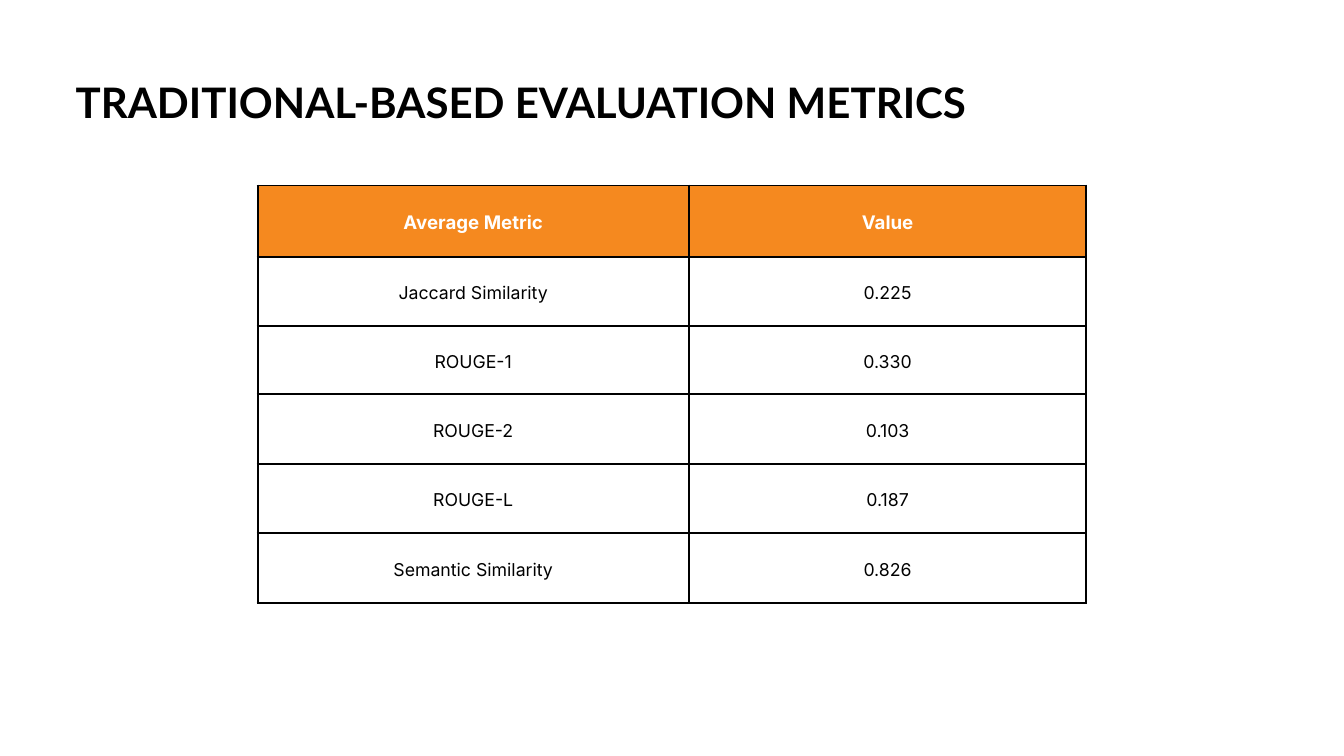
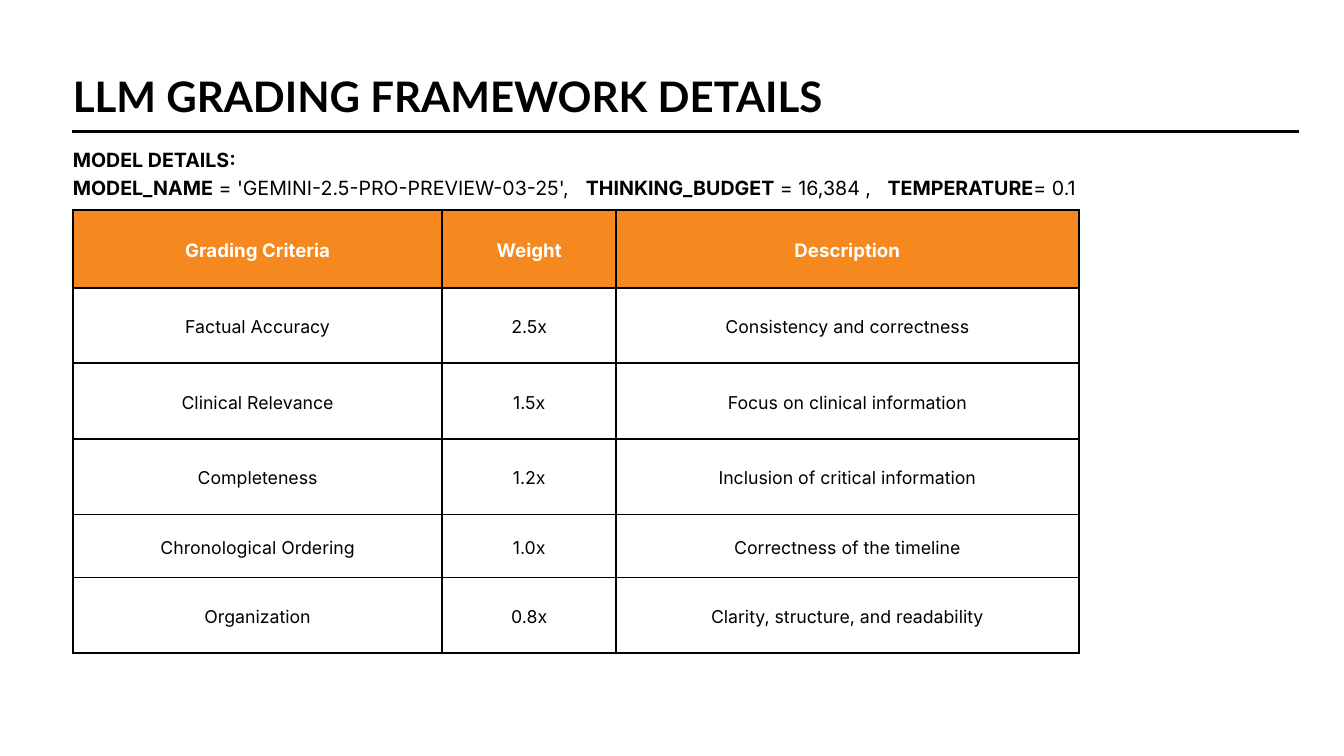
"""Build two slides on metrics and grading of model output."""
from lxml.etree import SubElement
from pptx import Presentation
from pptx.dml.color import RGBColor
from pptx.enum.shapes import MSO_CONNECTOR
from pptx.enum.text import MSO_ANCHOR, MSO_AUTO_SIZE, PP_ALIGN
from pptx.oxml import parse_xml
from pptx.oxml.ns import nsdecls, qn
from pptx.util import Emu, Pt

BLACK = RGBColor(0, 0, 0)
WHITE = RGBColor(255, 255, 255)
ORANGE = RGBColor(0xF5, 0x89, 0x1F)
HEAD, BODY = "Lato", "Inter"
PAD = 20


def px(n):
    return Emu(n * 9525)


class Deck:
    def __init__(self):
        self.prs = Presentation()
        self.prs.slide_width, self.prs.slide_height = px(1920), px(1080)

    def page(self):
        self.slide = self.prs.slides.add_slide(self.prs.slide_layouts[6])

    def style(self, para, size, lead=None, face=BODY, color=BLACK, bold=None):
        para.line_spacing = Pt(lead or round(size * 1.4, 1))
        font = para.font
        font.name, font.size, font.bold = face, Pt(size), bold
        font.color.rgb = color

    def box(self, left, top, width, height):
        shape = self.slide.shapes.add_textbox(*map(px, (left, top, width, height)))
        frame = shape.text_frame
        frame.word_wrap = True
        frame.auto_size = MSO_AUTO_SIZE.SHAPE_TO_FIT_TEXT
        frame.margin_left = frame.margin_right = 0
        frame.margin_top = frame.margin_bottom = 0
        return frame

    def title(self, text, left, top, width, height, lead):
        para = self.box(left, top, width, height).paragraphs[0]
        para.text = text
        self.style(para, 45, lead, HEAD, bold=True)

    def details(self, label, pairs, stops, *area):
        frame = self.box(*area)
        para = frame.paragraphs[0]
        para.text = label
        self.style(para, 21, bold=True)
        para = frame.add_paragraph()
        tabs = SubElement(para._p.get_or_add_pPr(), qn("a:tabLst"))
        for stop in stops:
            SubElement(tabs, qn("a:tab"), pos=str(px(stop)), algn="l")
        self.style(para, 21)
        for name, value in pairs:
            for text, bold in ((name, True), (value, False)):
                run = para.add_run()
                run.text, run.font.bold = text, bold

    def rule(self, start, end, y):
        line = self.slide.shapes.add_connector(
            MSO_CONNECTOR.STRAIGHT, px(start), px(y), px(end), px(y))
        line.line.color.rgb = BLACK
        line.line.width = Pt(3)
        SubElement(line._element.spPr, qn("a:effectLst"))

    def border(self, cell):
        props = cell._tc.get_or_add_tcPr()
        for side in "LRTB":
            props.append(parse_xml(
                f'<a:ln{side} {nsdecls("a")} w="{Pt(2.25)}"><a:solidFill>'
                f'<a:srgbClr val="{BLACK}"/></a:solidFill></a:ln{side}>'))

    def cell(self, cell, text, head):
        cell.margin_left = cell.margin_right = px(PAD)
        cell.margin_top = cell.margin_bottom = px(PAD)
        cell.vertical_anchor = MSO_ANCHOR.MIDDLE
        self.border(cell)
        para = cell.text_frame.paragraphs[0]
        para.text = text
        para.alignment = PP_ALIGN.CENTER
        if head:
            cell.fill.solid()
            cell.fill.fore_color.rgb = ORANGE
            self.style(para, 20, color=WHITE, bold=True)
        else:
            cell.fill.background()
            self.style(para, 19, bold=False)

    def table(self, left, top, widths, heights, data):
        table = self.slide.shapes.add_table(
            len(heights), len(widths), px(left), px(top),
            px(sum(widths)), px(sum(heights))).table
        table.horz_banding = False
        for col, width in zip(table.columns, widths):
            col.width = px(width)
        for r, (row, height) in enumerate(zip(data, heights)):
            table.rows[r].height = px(height)
            for c, text in enumerate(row):
                self.cell(table.cell(r, c), text, r == 0)


SCORES = [
    ("Average Metric", "Value"),
    ("Jaccard Similarity", "0.225"),
    ("ROUGE-1", "0.330"),
    ("ROUGE-2", "0.103"),
    ("ROUGE-L", "0.187"),
    ("Semantic Similarity", "0.826"),
]
GRADES = [
    ("Grading Criteria", "Weight", "Description"),
    ("Factual Accuracy", "2.5x", "Consistency and correctness"),
    ("Clinical Relevance", "1.5x", "Focus on clinical information"),
    ("Completeness", "1.2x", "Inclusion of critical information"),
    ("Chronological Ordering", "1.0x", "Correctness of the timeline"),
    ("Organization", "0.8x", "Clarity, structure, and readability"),
]
MODEL = [
    ("MODEL_NAME", " = 'GEMINI-2.5-PRO-PREVIEW-03-25',\t"),
    ("THINKING_BUDGET", " = 16,384 ,\t"),
    ("TEMPERATURE", "= 0.1"),
]


def main():
    deck = Deck()

    deck.page()
    deck.table(368, 265, (616, 568), (102, 99, 97, 100, 99, 99), SCORES)
    deck.title("TRADITIONAL-BASED EVALUATION METRICS", 108, 98, 1384, 82, 63)

    deck.page()
    deck.title("LLM GRADING FRAMEWORK DETAILS", 104, 100, 1343, 72, 54.6)
    deck.details("MODEL DETAILS:", MODEL, (733, 1164), 104, 206, 1487, 78)
    deck.rule(1856, 103, 188)
    deck.table(104, 300, (528, 248, 661), (111, 108, 108, 108, 90, 108), GRADES)

    deck.prs.save("out.pptx")


if __name__ == "__main__":
    main()
